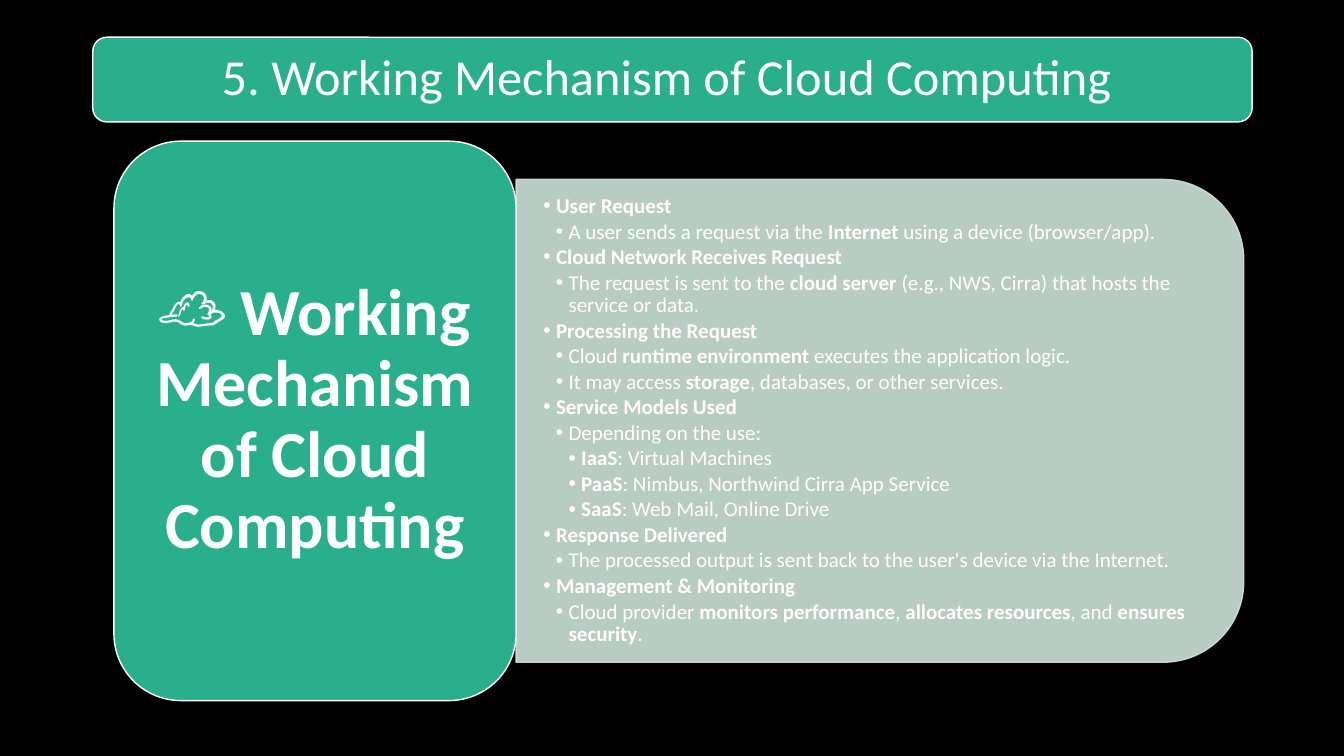
import pptx
import pptx.util
import pptx.dml.color
import pptx.enum.shapes
import pptx.enum.text
import pptx.oxml.ns
import lxml.etree

Inches, Pt = pptx.util.Inches, pptx.util.Pt
MSO_SHAPE = pptx.enum.shapes.MSO_SHAPE
PP_ALIGN = pptx.enum.text.PP_ALIGN
COLORS = {"back": "000000", "green": "29AF8C", "mint": "CDE3DA", "white": "FFFFFF"}
FONT = "Calibri"
W, H = Inches(13.33), Inches(7.5)
COL, ROW = W / 100, H / 100  # grid of 100 columns by 100 rows
INDENT = Inches(0.125)

TITLE = "5. Working Mechanism of Cloud Computing "
CARD = "☁️ Working Mechanism of Cloud Computing"
# (level, text), with bold parts between asterisks
STEPS = [
    (0, "*User Request*"),
    (1, "A user sends a request via the *Internet* using a device (browser/app)."),
    (0, "*Cloud Network Receives Request*"),
    (1, "The request is sent to the *cloud server* (e.g., NWS, Cirra) that hosts the service or data."),
    (0, "*Processing the Request*"),
    (1, "Cloud *runtime environment* executes the application logic."),
    (1, "It may access *storage*, databases, or other services."),
    (0, "*Service Models Used*"),
    (1, "Depending on the use:"),
    (2, "*IaaS*: Virtual Machines"),
    (2, "*PaaS*: Nimbus, Northwind Cirra App Service"),
    (2, "*SaaS*: Web Mail, Online Drive"),
    (0, "*Response Delivered*"),
    (1, "The processed output is sent back to the user's device via the Internet."),
    (0, "*Management & Monitoring*"),
    (1, "Cloud provider *monitors performance*, *allocates resources*, and *ensures security*."),
]


def rgb(name):
    return pptx.dml.color.RGBColor.from_string(COLORS[name])


def add_panel(s, kind, box, fill, line):
    sp = s.shapes.add_shape(kind, *map(round, box))
    sp.shadow.inherit = False
    sp.fill.solid()
    sp.fill.fore_color.rgb = rgb(fill)
    sp.line.color.rgb = rgb(line)
    sp.line.width = Pt(1)
    return sp


def set_opacity(sp, percent):
    for clr in sp.element.spPr.iter(pptx.oxml.ns.qn("a:srgbClr")):
        lxml.etree.SubElement(clr, pptx.oxml.ns.qn("a:alpha"), val=str(percent * 1000))


def place_on_top(sp, box):
    sp.left, sp.top, sp.width, sp.height = map(round, box)
    sp.element.getparent().append(sp.element)


def set_frame(tf, side, end):
    tf.word_wrap = True
    tf.auto_size = pptx.enum.text.MSO_AUTO_SIZE.NONE
    tf.vertical_anchor = pptx.enum.text.MSO_ANCHOR.MIDDLE
    tf.margin_left = tf.margin_right = Inches(side)
    tf.margin_top = tf.margin_bottom = Inches(end)


def set_font(font, size, bold):
    font.name, font.size, font.bold = FONT, Pt(size), bold
    font.color.rgb = rgb("white")


def set_heading(tf, text, size, bold):
    tf.text = text
    p = tf.paragraphs[0]
    p.alignment = PP_ALIGN.CENTER
    p.line_spacing = 0.9
    p.space_before = Pt(0)
    for r in p.runs:
        set_font(r.font, size, bold)


def add_step(p, level, text):
    p.level = level
    p.alignment = PP_ALIGN.LEFT
    p.line_spacing = 0.9
    p.space_before, p.space_after = Pt(0), Pt(2)
    pPr = p._p.get_or_add_pPr()
    pPr.set("marL", str(INDENT * (level + 1)))
    pPr.set("indent", str(-INDENT))
    lxml.etree.SubElement(pPr, pptx.oxml.ns.qn("a:buChar"), char="•")
    for i, part in enumerate(text.split("*")):
        if part:
            r = p.add_run()
            r.text = part
            set_font(r.font, 15, i % 2 == 1)


def header(s, box):
    add_panel(s, MSO_SHAPE.ROUNDED_RECTANGLE, box, "green", "white")
    place_on_top(s.shapes.title, box)
    set_frame(s.shapes.title.text_frame, 0.19, 0.15)
    set_heading(s.shapes.title.text_frame, TITLE, 36, False)


def details(s, box):
    x, y, w, h = box
    # Upright shape turned a quarter about the centre of the box
    turned = (x + (w - h) / 2, y + (h - w) / 2, h, w)
    sp = add_panel(s, MSO_SHAPE.ROUND_2_SAME_RECTANGLE, turned, "mint", "mint")
    sp.rotation = 90
    set_opacity(sp, 90)
    # Steps keep clear of the round corners
    inset = 0.049 * h
    body = s.placeholders[1]
    place_on_top(body, (x, y + inset, w - inset, h - 2 * inset))
    tf = body.text_frame
    set_frame(tf, 0.27, 0.14)
    for i, (level, text) in enumerate(STEPS):
        add_step(tf.add_paragraph() if i else tf.paragraphs[0], level, text)


def mechanism(s, box):
    x, y, w, h = box
    card_w, details_h = 0.356 * w, 0.863 * h
    details(s, (x + card_w, y + (h - details_h) / 2, w - card_w, details_h))
    card = add_panel(s, MSO_SHAPE.ROUNDED_RECTANGLE, (x, y, card_w, h), "green", "white")
    set_frame(card.text_frame, 0.2, 0.1)
    set_heading(card.text_frame, CARD, 47, True)


def main():
    prs = pptx.Presentation()
    prs.slide_width, prs.slide_height = W, H
    s = prs.slides.add_slide(prs.slide_layouts[1])
    s.background.fill.solid()
    s.background.fill.fore_color.rgb = rgb("back")
    header(s, (6.9 * COL, 4.93 * ROW, 86.27 * COL, 11.2 * ROW))
    mechanism(s, (8.48 * COL, 18.67 * ROW, 84.06 * COL, 74 * ROW))
    prs.save("out.pptx")


if __name__ == "__main__":
    main()
